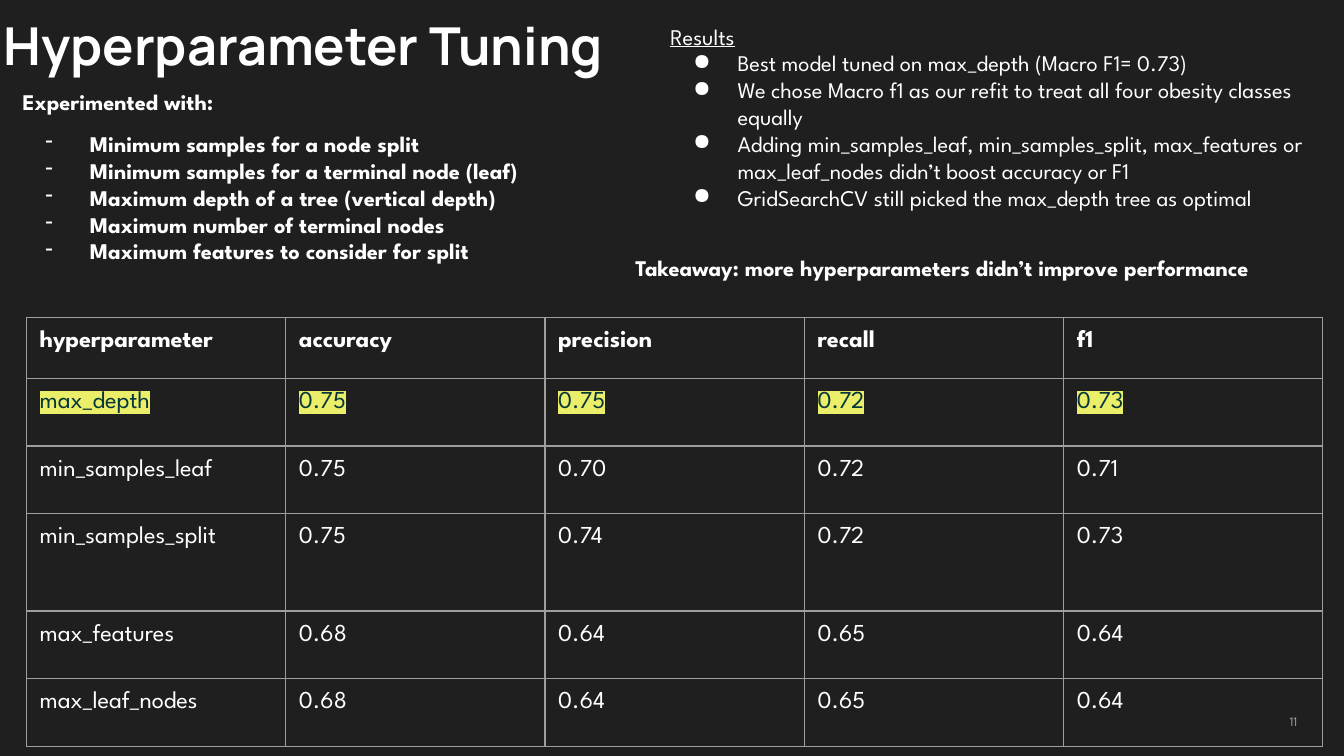
"""Build the hyperparameter tuning slide with its results table."""
import pptx
import pptx.dml.color
import pptx.enum.text
import pptx.oxml.ns
import pptx.util
from lxml import etree

Cm = pptx.util.Cm
Pt = pptx.util.Pt
RGBColor = pptx.dml.color.RGBColor

BACKGROUND = RGBColor(0x1F, 0x1F, 0x1F)
WHITE = RGBColor(0xFF, 0xFF, 0xFF)
GREY = RGBColor(0x93, 0xA2, 0xA2)
BORDER = RGBColor(0x9E, 0x9E, 0x9E)
DARK_TEAL = RGBColor(0x07, 0x36, 0x3B)
YELLOW = RGBColor(0xEB, 0xEE, 0x68)

BODY_FONT = "League Spartan"
TITLE_FONT = "Manrope"
INSET = Cm(0.25)

EXPERIMENTS = [
    "Minimum samples for a node split",
    "Minimum samples for a terminal node (leaf)",
    "Maximum depth of a tree (vertical depth)",
    "Maximum number of terminal nodes",
    "Maximum features to consider for split",
]
RESULTS = [
    "Best model tuned on max_depth (Macro F1= 0.73)",
    "We chose Macro f1 as our refit to treat all four obesity classes equally",
    "Adding min_samples_leaf, min_samples_split, max_features or "
    "max_leaf_nodes didn’t boost accuracy or F1",
    "GridSearchCV still picked the max_depth tree as optimal",
]
SCORES = [
    ["hyperparameter", "accuracy", "precision", "recall", "f1"],
    ["max_depth", "0.75", "0.75", "0.72", "0.73"],
    ["min_samples_leaf", "0.75", "0.70", "0.72", "0.71"],
    ["min_samples_split", "0.75", "0.74", "0.72", "0.73"],
    ["max_features", "0.68", "0.64", "0.65", "0.64"],
    ["max_leaf_nodes", "0.68", "0.64", "0.65", "0.64"],
]
COLUMN_WIDTH = Cm(4.9)
ROW_HEIGHTS = [1.15, 1.28, 1.28, 1.84, 1.28, 1.28]


def add_element(parent, tag, **attributes):
    return etree.SubElement(parent, pptx.oxml.ns.qn(tag), attributes)


def format_runs(paragraph, size, color=WHITE, bold=False, underline=False, font=BODY_FONT):
    for run in paragraph.runs:
        run.font.size = Pt(size)
        run.font.color.rgb = color
        run.font.bold = bold
        run.font.underline = underline
        run.font.name = font


def add_text(slide, left, top, width, height, text, size, **style):
    box = slide.shapes.add_textbox(Cm(left), Cm(top), Cm(width), Cm(height))
    frame = box.text_frame
    frame.word_wrap = True
    frame.margin_left = frame.margin_right = INSET
    frame.margin_top = frame.margin_bottom = INSET
    frame.text = text
    format_runs(frame.paragraphs[0], size, **style)
    return frame


def add_bullets(frame, items, mark, bold=False):
    for item in items:
        paragraph = frame.add_paragraph()
        paragraph.text = item
        properties = paragraph._p.get_or_add_pPr()
        properties.set("marL", str(Cm(1.27)))
        properties.set("indent", str(-Cm(0.84)))
        mark_color = add_element(properties, "a:buClr")
        add_element(mark_color, "a:srgbClr", val=str(WHITE))
        add_element(properties, "a:buChar", char=mark)
        format_runs(paragraph, 12, bold=bold)


def highlight(run, color):
    mark = etree.Element(pptx.oxml.ns.qn("a:highlight"))
    add_element(mark, "a:srgbClr", val=str(color))
    run.font.fill._xPr.find(pptx.oxml.ns.qn("a:solidFill")).addnext(mark)


def style_cell(cell):
    cell.margin_left = cell.margin_right = INSET
    cell.margin_top = cell.margin_bottom = INSET
    properties = cell._tc.get_or_add_tcPr()
    for side in ("a:lnL", "a:lnR", "a:lnT", "a:lnB"):
        line = add_element(properties, side, w=str(Pt(0.75)))
        fill = add_element(line, "a:solidFill")
        add_element(fill, "a:srgbClr", val=str(BORDER))
    cell.fill.background()


def add_scores(slide):
    column_count = len(SCORES[0])
    table = slide.shapes.add_table(
        len(SCORES), column_count, Cm(0.5), Cm(6),
        COLUMN_WIDTH * column_count, Cm(sum(ROW_HEIGHTS))).table
    table.first_row = False
    table.horz_banding = False
    for column in table.columns:
        column.width = COLUMN_WIDTH
    for row_index, (scores, height) in enumerate(zip(SCORES, ROW_HEIGHTS)):
        table.rows[row_index].height = Cm(height)
        is_best = row_index == 1
        for column_index, score in enumerate(scores):
            cell = table.cell(row_index, column_index)
            style_cell(cell)
            cell.text_frame.text = score
            paragraph = cell.text_frame.paragraphs[0]
            format_runs(paragraph, 13, color=DARK_TEAL if is_best else WHITE,
                        bold=row_index == 0)
            if is_best:
                highlight(paragraph.runs[0], YELLOW)


def main():
    presentation = pptx.Presentation()
    presentation.slide_width = Cm(25.4)
    presentation.slide_height = Cm(14.29)
    slide = presentation.slides.add_slide(presentation.slide_layouts[6])
    slide.background.fill.solid()
    slide.background.fill.fore_color.rgb = BACKGROUND

    page_number = add_text(slide, 18.67, 13.33, 6.1, 0.81, "11", 7, color=GREY)
    page_number.paragraphs[0].alignment = pptx.enum.text.PP_ALIGN.RIGHT

    add_text(slide, -0.18, 0, 15.85, 1.7, "Hyperparameter Tuning", 28,
             bold=True, font=TITLE_FONT)

    experiments = add_text(slide, 0.18, 1.42, 14.07, 5.08, "Experimented with:", 12, bold=True)
    add_bullets(experiments, EXPERIMENTS, "-", bold=True)
    experiments.paragraphs[1].space_before = Pt(8)

    add_scores(slide)

    results = add_text(slide, 12.42, 0.18, 12.78, 4.57, "Results", 12, underline=True)
    add_bullets(results, RESULTS, "●")

    add_text(slide, 11.76, 4.55, 13.87, 1.22,
             "Takeaway: more hyperparameters didn’t improve performance", 12, bold=True)

    presentation.save("out.pptx")


if __name__ == "__main__":
    main()
